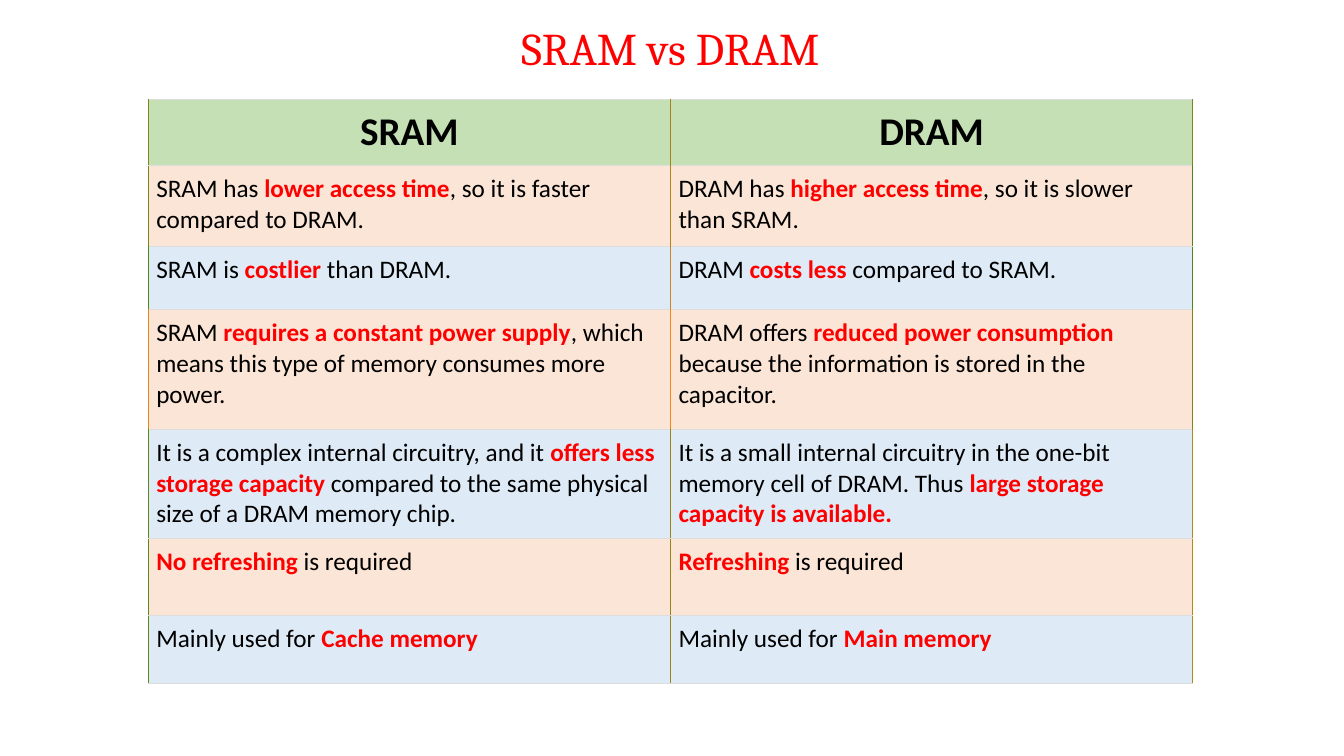
from lxml.etree import SubElement
from pptx import Presentation
from pptx.dml.color import RGBColor
from pptx.enum.text import MSO_ANCHOR, PP_ALIGN
from pptx.oxml.ns import qn
from pptx.util import Inches, Pt

COLORS = {
    "accent": "FF0000",
    "text": "000000",
    "header": "C5E0B4",
    "odd": "FBE5D6",
    "even": "DEEBF7",
    "rule": "DDDDDD",
}
HEADINGS = ("SRAM", "DRAM")
COMPARISONS = [
    ("SRAM has *lower access time*, so it is faster compared to DRAM.",
     "DRAM has *higher access time*, so it is slower than SRAM."),
    ("SRAM is *costlier *than DRAM.",
     "DRAM *costs less *compared to SRAM."),
    ("SRAM *requires a constant power supply*, which means this type of memory consumes more power.",
     "DRAM offers *reduced power consumption *because the information is stored in the capacitor."),
    ("It is a complex internal circuitry, and it *offers less storage capacity* "
     "compared to the same physical size of a DRAM memory chip.",
     "It is a small internal circuitry in the one-bit memory cell of DRAM. "
     "Thus *large storage capacity is available.*"),
    ("*No refreshing *is required", "*Refreshing* is required"),
    ("Mainly used for *Cache memory*", "Mainly used for *Main memory*"),
]
ROW_HEIGHTS = (0.65, 0.8, 0.63, 1.19, 1.08, 0.77, 0.67)
SIDE_COLORS = [
    ("808518", "A88418", "808518"),
    ("808518", "B08518", "508518"),
    ("508518", "C88518", "508518"),
    ("E88618", "F88518", "808518"),
] + [("608718", "988518", "B88618")] * 3


def color(name):
    return RGBColor.from_string(COLORS[name])


def set_font(font, name, size, shade):
    font.name = name
    font.size = Pt(size)
    font.color.rgb = color(shade)


def set_borders(cell, left, right):
    properties = cell._tc.get_or_add_tcPr()
    sides = (("L", left, 1), ("R", right, 1),
             ("T", COLORS["rule"], 0.75), ("B", COLORS["rule"], 0.75))
    for side, shade, width in sides:
        line = SubElement(properties, qn(f"a:ln{side}"), w=str(Pt(width)))
        fill = SubElement(line, qn("a:solidFill"))
        SubElement(fill, qn("a:srgbClr"), val=shade)


def fill_text(cell, text, is_header):
    para = cell.text_frame.paragraphs[0]
    set_font(para.font, "Calibri", 28 if is_header else 18, "text")
    para.font.bold = is_header
    para.alignment = PP_ALIGN.CENTER if is_header else PP_ALIGN.LEFT
    for index, piece in enumerate(text.split("*")):
        if piece:
            span = para.add_run()
            span.text = piece
            if index % 2:
                span.font.bold = True
                span.font.color.rgb = color("accent")


def add_title(page, left, top, width, height):
    box = page.shapes.add_textbox(Inches(left), Inches(top), Inches(width), Inches(height))
    frame = box.text_frame
    frame.word_wrap = True
    frame.vertical_anchor = MSO_ANCHOR.MIDDLE
    para = frame.paragraphs[0]
    para.text = "SRAM vs DRAM"
    para.alignment = PP_ALIGN.CENTER
    para.line_spacing = 0.9
    set_font(para.font, "Cambria", 32.4, "accent")


def add_comparison(page, left, top, width, height):
    rows = [HEADINGS] + COMPARISONS
    table = page.shapes.add_table(len(rows), len(HEADINGS), Inches(left), Inches(top),
                                  Inches(width), Inches(height)).table
    table.first_row = True
    table.horz_banding = False
    for column in table.columns:
        column.width = Inches(width / len(HEADINGS))
    for row_index, texts in enumerate(rows):
        table.rows[row_index].height = Inches(ROW_HEIGHTS[row_index])
        is_header = row_index == 0
        shade = "header" if is_header else ("even", "odd")[row_index % 2]
        sides = SIDE_COLORS[row_index]
        for column_index, text in enumerate(texts):
            cell = table.cell(row_index, column_index)
            cell.margin_left = cell.margin_right = Inches(0.08)
            cell.margin_top = cell.margin_bottom = Inches(0.08)
            set_borders(cell, sides[column_index], sides[column_index + 1])
            cell.fill.solid()
            cell.fill.fore_color.rgb = color(shade)
            fill_text(cell, text, is_header)


def main():
    deck = Presentation()
    deck.slide_width = Inches(13.33)
    deck.slide_height = Inches(7.5)
    page = deck.slides.add_slide(deck.slide_layouts[6])
    add_title(page, 0.9, 0.21, 11.5, 0.58)
    add_comparison(page, 1.47, 0.99, 10.36, sum(ROW_HEIGHTS))
    deck.save("out.pptx")


if __name__ == "__main__":
    main()
